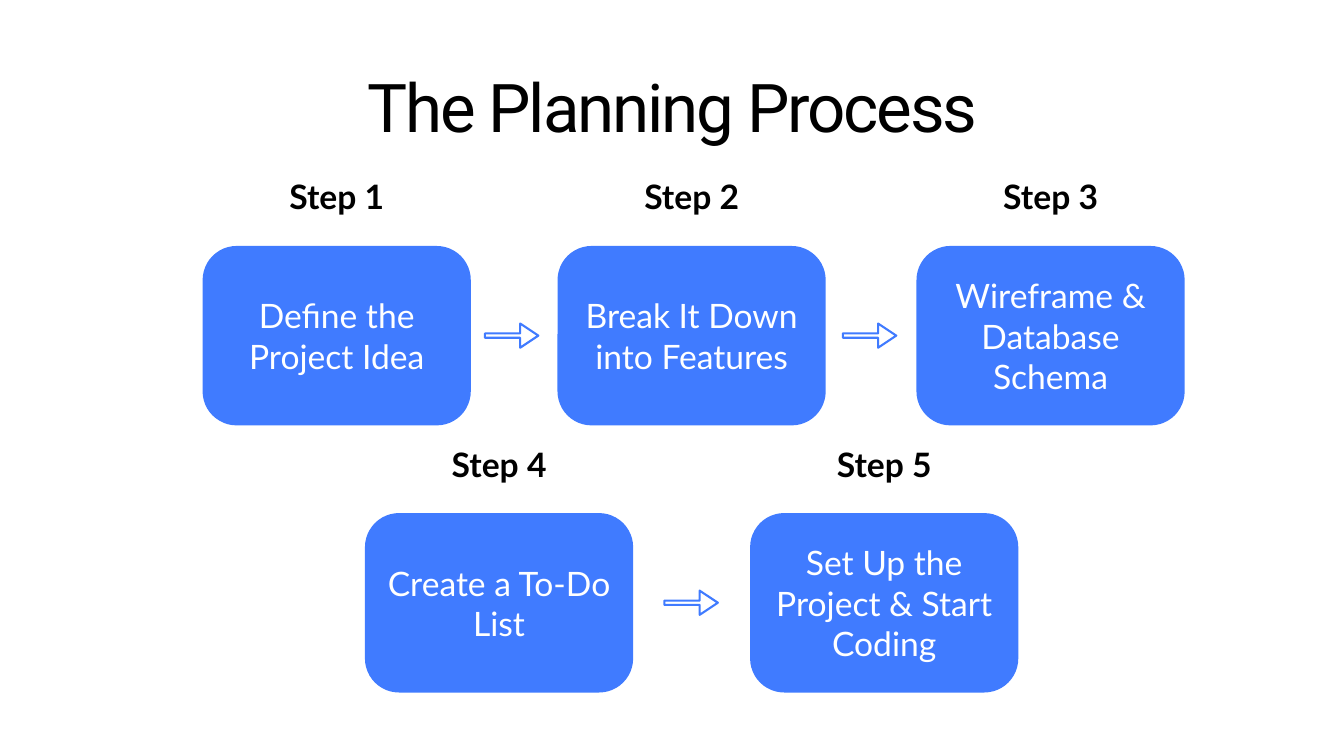
import pptx
import pptx.dml.color
import pptx.enum.shapes
import pptx.enum.text
import pptx.util

Inches = pptx.util.Inches
Pt = pptx.util.Pt
RGB = pptx.dml.color.RGBColor
Shape = pptx.enum.shapes.MSO_SHAPE
Anchor = pptx.enum.text.MSO_ANCHOR


class Theme:
    blue = RGB(0x40, 0x7B, 0xFF)
    black = RGB(0, 0, 0)
    white = RGB(255, 255, 255)
    head = "Roboto"
    body = "Lato"
    big = 48
    small = 24


def write(shape, text, size=Theme.small, font=Theme.body, color=Theme.black,
          bold=False, wrap=True, anchor=Anchor.TOP, track=0):
    frame = shape.text_frame
    frame.word_wrap = wrap
    frame.vertical_anchor = anchor
    para = frame.paragraphs[0]
    para.alignment = pptx.enum.text.PP_ALIGN.CENTER
    run = para.add_run()
    run.text = text
    run.font.size = Pt(size)
    run.font.name = font
    run.font.bold = bold
    run.font.color.rgb = color
    if track:
        run._r.get_or_add_rPr().set("spc", str(int(track * 100)))


deck = pptx.Presentation()
deck.slide_width = Inches(13.33)
deck.slide_height = Inches(7.5)
slide = deck.slides.add_slide(deck.slide_layouts[6])

# Title
title = slide.shapes.add_textbox(Inches(3.34), Inches(0.6), Inches(6.66), Inches(0.91))
write(title, "The Planning Process", size=Theme.big, font=Theme.head, track=-1.5)

# Steps: left and top of each card, with its label centred above
card_w, card_h = 2.66, 1.78
label_w, label_h = 1.16, 0.64
rise = 0.74
row_1, row_2 = 2.44, 5.09
steps = [
    (2.01, row_1, "Define the Project Idea"),
    (5.53, row_1, "Break It Down into Features"),
    (9.09, row_1, "Wireframe & Database Schema"),
    (3.62, row_2, "Create a To-Do List"),
    (7.44, row_2, "Set Up the Project & Start Coding"),
]
for count, (left, top, text) in enumerate(steps, 1):
    group = slide.shapes.add_group_shape()
    card = group.shapes.add_shape(Shape.ROUNDED_RECTANGLE, Inches(left), Inches(top),
                                  Inches(card_w), Inches(card_h))
    card.adjustments[0] = 0.19
    card.shadow.inherit = False
    card.fill.solid()
    card.fill.fore_color.rgb = Theme.blue
    card.line.fill.background()
    write(card, text, color=Theme.white, anchor=Anchor.MIDDLE)

    label = group.shapes.add_textbox(Inches(left + (card_w - label_w) / 2),
                                     Inches(top - rise), Inches(label_w), Inches(label_h))
    write(label, f"Step {count}", bold=True, wrap=False)

# Arrows: level with the middle of each row
arrow_w, arrow_h = 0.53, 0.24
for left, top in [(4.81, row_1), (8.36, row_1), (6.59, row_2)]:
    arrow = slide.shapes.add_shape(Shape.RIGHT_ARROW, Inches(left),
                                   Inches(top + (card_h - arrow_h) / 2),
                                   Inches(arrow_w), Inches(arrow_h))
    arrow.adjustments[0] = 0.18
    arrow.adjustments[1] = 0.75
    arrow.shadow.inherit = False
    arrow.fill.background()
    arrow.line.color.rgb = Theme.blue
    arrow.line.width = Pt(1.5)

deck.save("out.pptx")
